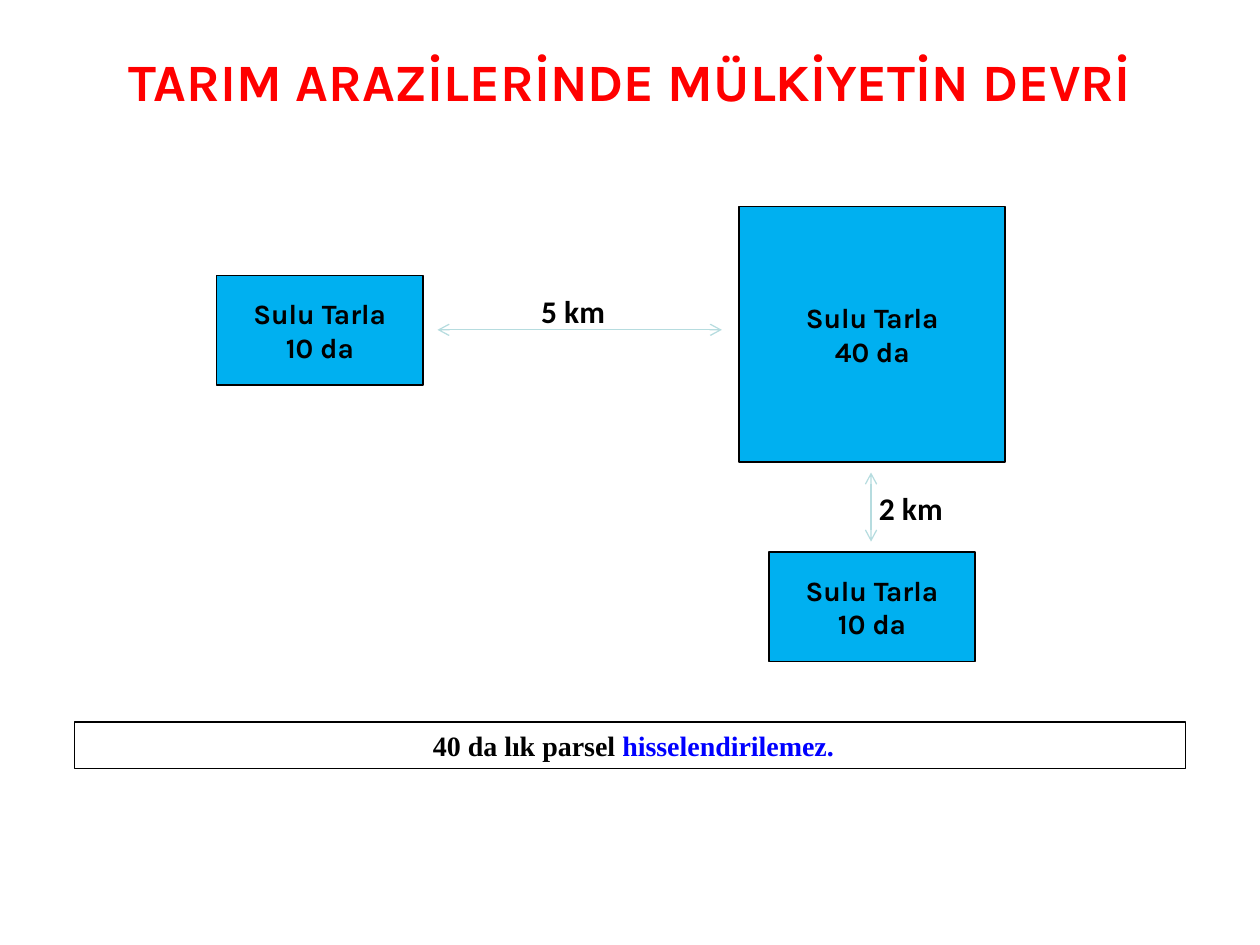
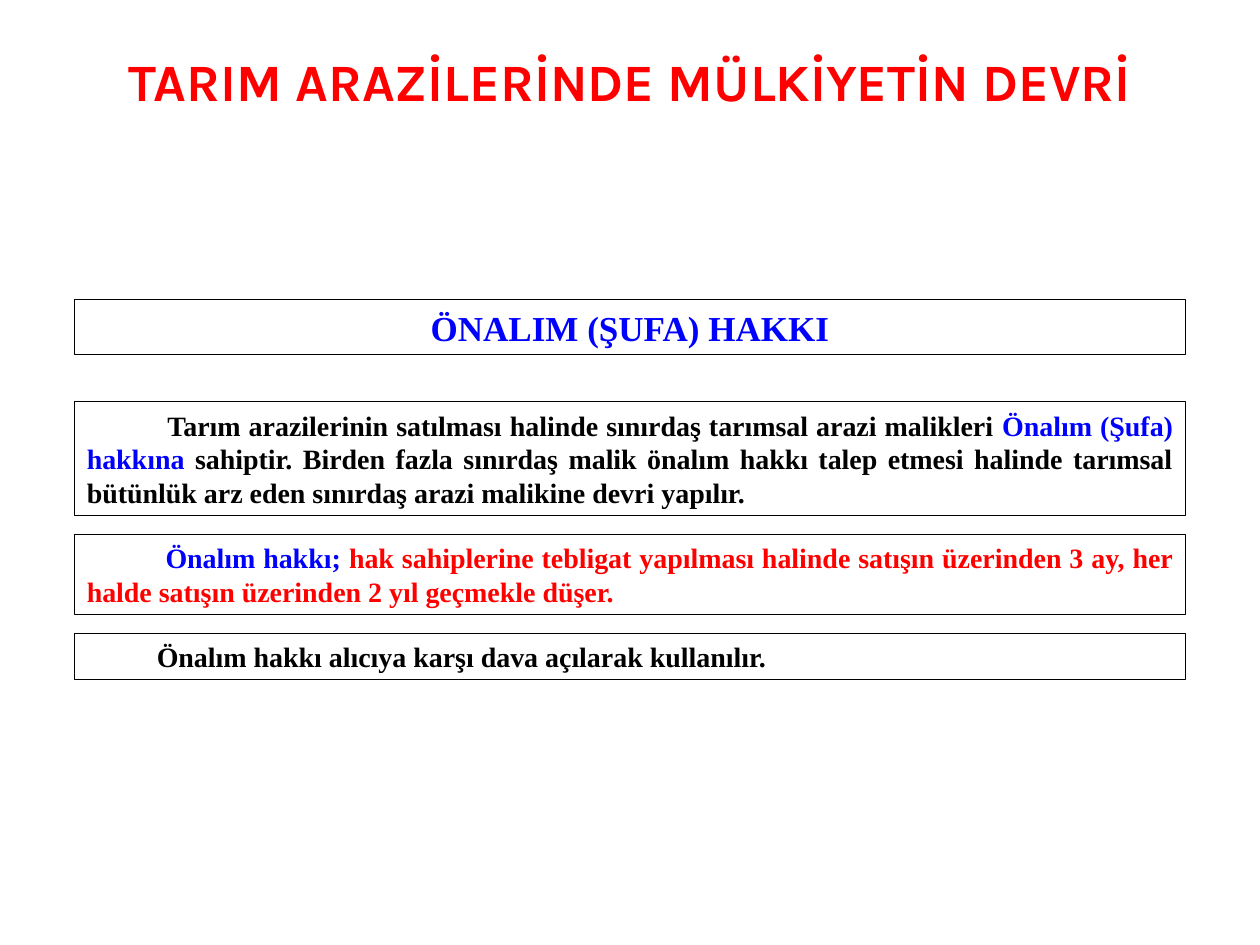
from lxml import etree
from pptx import Presentation
from pptx.dml.color import RGBColor
from pptx.enum import shapes, text
from pptx.oxml import ns
from pptx.util import Pt

BLACK = RGBColor(0x00, 0x00, 0x00)
RED = RGBColor(0xFF, 0x00, 0x00)
BLUE = RGBColor(0x00, 0x00, 0xFF)
SKY = RGBColor(0x00, 0xB0, 0xF0)
TEAL = RGBColor(0xB6, 0xDC, 0xDF)
SANS, SERIF, LABEL = "Karla", "Times New Roman", "Calibri"
TITLE = "TARIM ARAZİLERİNDE MÜLKİYETİN DEVRİ"
CENTER, JUSTIFY = text.PP_ALIGN.CENTER, text.PP_ALIGN.JUSTIFY
MIDDLE, TOP = text.MSO_ANCHOR.MIDDLE, text.MSO_ANCHOR.TOP
FIT, FIXED = text.MSO_AUTO_SIZE.SHAPE_TO_FIT_TEXT, text.MSO_AUTO_SIZE.NONE


def write(shape, *paras, font=SANS, size=16, color=BLACK, align=CENTER,
          anchor=MIDDLE, grow=FIXED, indent=0):
    """Fill a shape with paragraphs, each a string or a list of (text, colour)."""
    frame = shape.text_frame
    frame.word_wrap = True
    frame.auto_size = grow
    frame.vertical_anchor = anchor
    for i, runs in enumerate(paras):
        para = frame.add_paragraph() if i else frame.paragraphs[0]
        para.alignment = align
        if indent:
            para._p.get_or_add_pPr().set("indent", str(Pt(indent)))
        for words, tint in [(runs, color)] if isinstance(runs, str) else runs:
            run = para.add_run()
            run.text = words
            run.font.name = font
            run.font.size = Pt(size)
            run.font.bold = True
            run.font.color.rgb = tint


def start(deck):
    """Add a title-only slide with the shared heading."""
    slide = deck.slides.add_slide(deck.slide_layouts[5])
    head = slide.shapes.title
    head.left, head.top, head.width, head.height = Pt(0), Pt(26), Pt(720), Pt(39.6)
    write(head, TITLE, size=30, color=RED)
    return slide


def box(slide, left, top, width, height, fill=None, line=0.75):
    """Add a black-edged rectangle, filled or clear."""
    rect = slide.shapes.add_shape(shapes.MSO_SHAPE.RECTANGLE,
                                  Pt(left), Pt(top), Pt(width), Pt(height))
    rect.shadow.inherit = False
    if fill is None:
        rect.fill.background()
    else:
        rect.fill.solid()
        rect.fill.fore_color.rgb = fill
    rect.line.color.rgb = BLACK
    rect.line.width = Pt(line)
    return rect


def field(slide, left, top, area, width=118, height=62.6):
    """Add a blue plot of land with its area."""
    write(box(slide, left, top, width, height, SKY, 1), "Sulu Tarla", area)


def note(slide, top, height, runs, **style):
    """Add a framed full-width statement."""
    write(box(slide, 42.5, top, 635, height), runs, font=SERIF, grow=FIT, **style)


def arrow(slide, x1, y1, x2, y2):
    """Add a thin line with open arrowheads at both ends."""
    link = slide.shapes.add_connector(shapes.MSO_CONNECTOR.STRAIGHT,
                                      Pt(x1), Pt(y1), Pt(x2), Pt(y2))
    link.line.color.rgb = TEAL
    link.line.width = Pt(0.75)
    for end in ("a:headEnd", "a:tailEnd"):
        etree.SubElement(link.line._get_or_add_ln(), ns.qn(end), type="arrow")
    etree.SubElement(link._element.spPr, ns.qn("a:effectLst"))


def label(slide, left, top, width, words):
    """Add a distance label."""
    area = slide.shapes.add_textbox(Pt(left), Pt(top), Pt(width), Pt(29))
    write(area, words, font=LABEL, size=18, anchor=TOP, grow=FIT)


def plots(deck):
    """Build the slide with three plots and their distances."""
    slide = start(deck)
    field(slide, 422.5, 118, "40 da", 152, 146)
    field(slide, 123.75, 157.5, "10 da")
    field(slide, 439.25, 315.5, "10 da")
    arrow(slide, 497.75, 270, 497.75, 309.5)
    arrow(slide, 250, 188.5, 412.5, 188.5)
    label(slide, 291.75, 163.5, 71.5, "5 km")
    label(slide, 489.5, 275.75, 62, "2 km")
    note(slide, 412.5, 26.5,
         [(" 40 da lık parsel ", BLACK), ("hisselendirilemez.", BLUE)])


def rights(deck):
    """Build the slide on the right of first refusal."""
    slide = start(deck)
    note(slide, 171.25, 31.5, "ÖNALIM (ŞUFA) HAKKI", size=20, color=BLUE)
    note(slide, 229.5, 65, [
        ("Tarım arazilerinin satılması halinde sınırdaş tarımsal arazi malikleri ", BLACK),
        ("Önalım (Şufa) hakkına", BLUE),
        (" sahiptir. Birden fazla sınırdaş malik önalım hakkı talep etmesi halinde "
         "tarımsal bütünlük arz eden sınırdaş arazi malikine devri yapılır.", BLACK),
    ], align=JUSTIFY, indent=46)
    note(slide, 305.25, 46, [
        ("Önalım hakkı; ", BLUE),
        ("hak sahiplerine tebligat yapılması halinde satışın üzerinden 3 ay, "
         "her halde satışın üzerinden 2 yıl geçmekle düşer.", RED),
    ], align=JUSTIFY, indent=45)
    note(slide, 362, 26.5, "Önalım hakkı alıcıya karşı dava açılarak kullanılır.",
         align=JUSTIFY, indent=40)


def main():
    """Build and save the deck."""
    deck = Presentation()
    deck.slide_width, deck.slide_height = Pt(720), Pt(540)
    plots(deck)
    rights(deck)
    deck.save("out.pptx")


if __name__ == "__main__":
    main()
